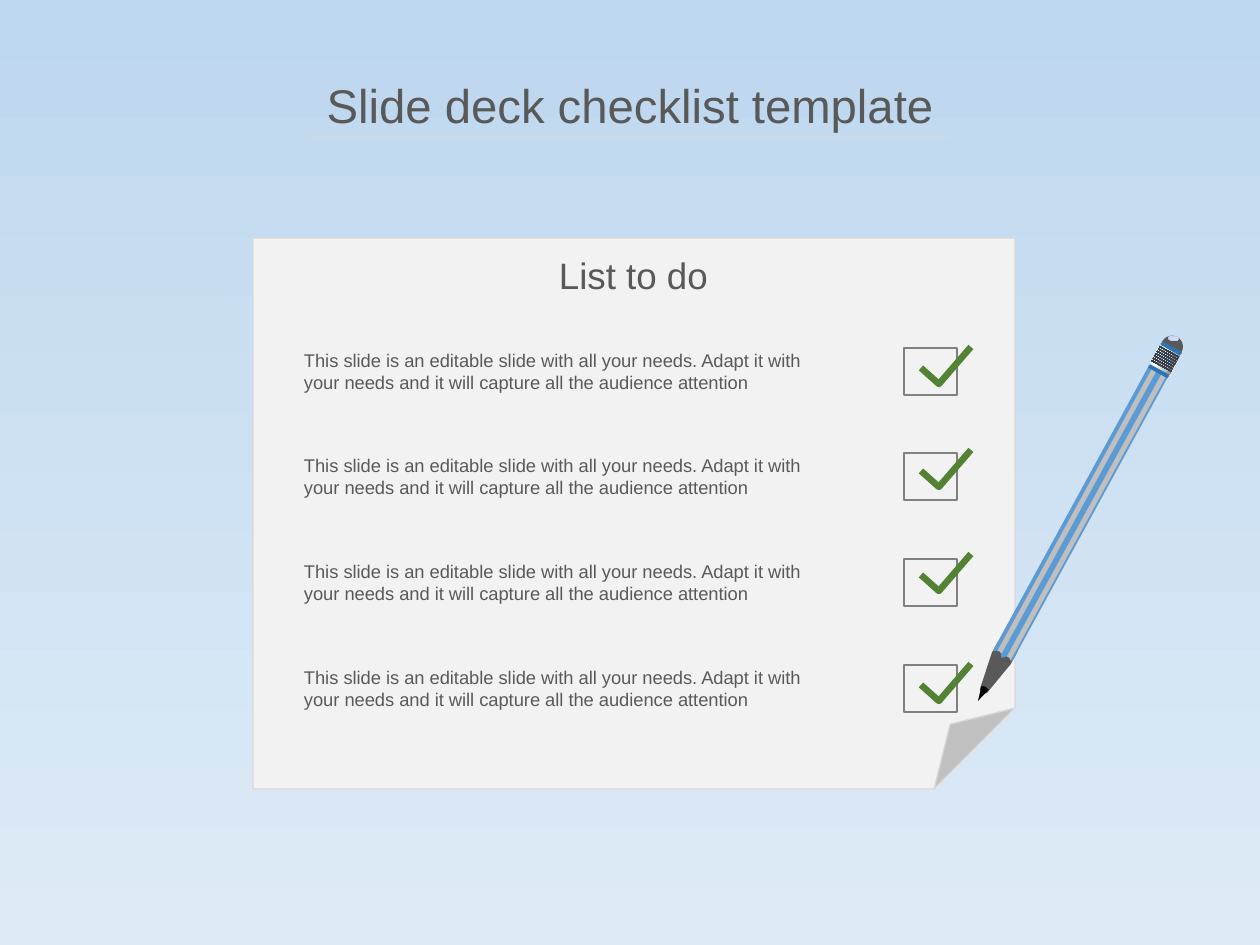
from math import cos, radians, sin

from lxml import etree
from pptx import Presentation
from pptx.dml.color import RGBColor
from pptx.enum.shapes import MSO_CONNECTOR, MSO_SHAPE
from pptx.enum.text import MSO_ANCHOR, MSO_AUTO_SIZE, PP_ALIGN
from pptx.oxml.ns import qn
from pptx.util import Pt

TITLE = "Slide deck checklist template"
LIST_HEADING = "List to do"
TASK = ("This slide is an editable slide with all your needs. Adapt it with "
        "your needs and it will capture all the audience attention")
TASKS = [  # text, top of its tick
    (TASK, 347),
    (TASK, 450),
    (TASK, 554),
    (TASK, 664),
]

GRAY_TEXT = RGBColor(0x59, 0x59, 0x59)
PAPER = RGBColor(0xF2, 0xF2, 0xF2)
PAPER_EDGE = RGBColor(0xD9, 0xD9, 0xD9)
BOX_EDGE = RGBColor(0x80, 0x80, 0x80)
TICK_GREEN = RGBColor(0x54, 0x82, 0x35)
PENCIL_BLUE = RGBColor(0x5B, 0x9B, 0xD5)
BAND_BLUE = RGBColor(0x2E, 0x75, 0xB6)
STRIPE_GRAY = RGBColor(0xBF, 0xBF, 0xBF)
BLACK = RGBColor(0, 0, 0)
WHITE = RGBColor(0xFF, 0xFF, 0xFF)

SKY = [(0, RGBColor(0xDE, 0xEB, 0xF7)), (100, RGBColor(0xBD, 0xD7, 0xEE))]
METAL = [(0, RGBColor(0x3B, 0x38, 0x38)), (39, STRIPE_GRAY), (63, WHITE),
         (69, WHITE), (100, BOX_EDGE)]
RING = [(0, RGBColor(0x18, 0x17, 0x17)), (50, RGBColor(0x33, 0x3F, 0x50)), (100, WHITE)]
SHINE = [(0, RGBColor(0xDA, 0xE3, 0xF3)), (100, RGBColor(0xB4, 0xC7, 0xE7))]

# Pencil outlines as (across, along) from its tip
PENCIL_TIP = (978, 701)
PENCIL_TILT = 28.7
PENCIL_WIDTH = 22
PENCIL_OUTLINES = [
    (GRAY_TEXT, [(-11, 49), (-11, 62), (11, 63), (11, 48), (4, 11), (0, 8), (-4, 11)]),
    (BLACK, [(0, 0), (-4, 15), (0, 16), (4, 15)]),
    (PENCIL_BLUE, [(-11, 51), (-6, 54), (-3, 53), (0, 49), (3, 52), (6, 54),
                   (11, 51), (11, 381), (-11, 381)]),
    (STRIPE_GRAY, [(4, 53), (7, 53), (9, 51), (9, 381), (4, 381)]),
    (STRIPE_GRAY, [(-7, 53), (-5, 54), (-2, 53), (-2, 381), (-7, 381)]),
]
BANDS = [(376, 4), (402, 4)]  # centre along the pencil, thickness
RING_COUNT, RING_FIRST, RING_LAST = 7, 382, 398

EMU_PER_PX = 914400 / 126


def px(value):
    return round(value * EMU_PER_PX)


def place(shape, left, top, width, height):
    shape.left, shape.top, shape.width, shape.height = map(px, (left, top, width, height))


def set_gradient(owner, fill, stops, angle=None):
    """Fill with the stops along a clockwise angle, or outwards from the centre."""
    fill.gradient()
    gradient = owner.element.find(".//" + qn("a:gradFill"))
    for child in list(gradient):
        gradient.remove(child)
    stop_list = etree.SubElement(gradient, qn("a:gsLst"))
    for percent, color in stops:
        stop = etree.SubElement(stop_list, qn("a:gs"), pos=str(percent * 1000))
        etree.SubElement(stop, qn("a:srgbClr"), val=str(color))
    if angle is None:
        centre = etree.SubElement(gradient, qn("a:path"), {"path": "shape"})
        etree.SubElement(centre, qn("a:fillToRect"),
                         {side: "50000" for side in ("l", "t", "r", "b")})
    else:
        etree.SubElement(gradient, qn("a:lin"), ang=str(angle * 60000), scaled="0")


def style(shape, fill=None, line=None, weight=1, angle=None):
    shape.shadow.inherit = False
    if isinstance(fill, list):
        set_gradient(shape, shape.fill, fill, angle)
    elif fill is not None:
        shape.fill.solid()
        shape.fill.fore_color.rgb = fill
    else:
        shape.fill.background()
    if line is None:
        shape.line.fill.background()
    else:
        shape.line.color.rgb = line
        shape.line.width = Pt(weight)
    return shape


def add_preset(shapes, preset, box, **look):
    return style(shapes.add_shape(preset, *map(px, box)), **look)


def add_outline(shapes, points, close=True, **look):
    corners = [(px(x), px(y)) for x, y in points]
    builder = shapes.build_freeform(*corners[0])
    builder.add_line_segments(corners[1:], close=close)
    return style(builder.convert_to_shape(), **look)


def write(holder, text, size=10.5, color=GRAY_TEXT, align=PP_ALIGN.LEFT):
    frame = holder.text_frame
    frame.word_wrap = True
    frame.auto_size = MSO_AUTO_SIZE.NONE
    frame.vertical_anchor = MSO_ANCHOR.TOP
    frame.margin_left = frame.margin_right = frame.margin_top = frame.margin_bottom = 0
    paragraph = frame.paragraphs[0]
    paragraph.alignment = align
    paragraph.line_spacing = 1
    run = paragraph.add_run()
    run.text = text
    run.font.name, run.font.size = "Arial", Pt(size)
    run.font.color.rgb = color


def on_pencil(across, along):
    tilt = radians(PENCIL_TILT)
    return (PENCIL_TIP[0] + across * cos(tilt) + along * sin(tilt),
            PENCIL_TIP[1] + across * sin(tilt) - along * cos(tilt))


def add_pencil(slide):
    shapes = slide.shapes.add_group_shape().shapes

    def add_collar(along, thickness, **look):
        x, y = on_pencil(0, along)
        box = (x - PENCIL_WIDTH / 2, y - thickness / 2, PENCIL_WIDTH, thickness)
        add_preset(shapes, MSO_SHAPE.RECTANGLE, box, **look).rotation = PENCIL_TILT

    for color, points in PENCIL_OUTLINES:
        add_outline(shapes, [on_pencil(*point) for point in points], fill=color)
    x, y = on_pencil(0, 404)
    add_preset(shapes, MSO_SHAPE.OVAL, (x - 11, y - 11, 22, 22), fill=GRAY_TEXT)
    add_collar(389, 28, fill=METAL, angle=180)
    for along, thickness in BANDS:
        add_collar(along, thickness, fill=BAND_BLUE)
    for ring in range(RING_COUNT):
        along = RING_FIRST + ring * (RING_LAST - RING_FIRST) / (RING_COUNT - 1)
        add_collar(along, 1, fill=RING, angle=90)
    shine = add_preset(shapes, MSO_SHAPE.OVAL, (1168, 336, 11, 5), fill=SHINE)
    shine.rotation = 6.2


def add_task(slide, row, text, tick_top):
    top = 348 + row * 317 // 3
    add_preset(slide.shapes, MSO_SHAPE.RECTANGLE, (904, top, 53, 47),
               line=BOX_EDGE, weight=1.5)
    write(slide.shapes.add_textbox(*map(px, (304, top + 1, 534, 44))), text)
    add_outline(slide.shapes, [(921, tick_top + 21), (939, tick_top + 37), (971, tick_top)],
                close=False, line=TICK_GREEN, weight=3.75)


def main():
    deck = Presentation()
    deck.slide_width, deck.slide_height = px(1260), px(945)
    slide = deck.slides.add_slide(deck.slide_layouts[5])
    set_gradient(slide, slide.background.fill, SKY, 270)

    place(slide.shapes.title, 0, 76, 1260, 57)
    write(slide.shapes.title, TITLE, size=27, align=PP_ALIGN.CENTER)
    rule = slide.shapes.add_connector(MSO_CONNECTOR.STRAIGHT,
                                      px(310), px(137), px(950), px(137))
    rule.line.color.rgb, rule.line.width = PAPER_EDGE, Pt(0.5)
    etree.SubElement(rule.element.spPr, qn("a:effectLst"))

    paper = add_preset(slide.shapes, MSO_SHAPE.FOLDED_CORNER, (253, 238, 762, 551),
                       fill=PAPER, line=PAPER_EDGE, weight=0.75)
    fold = paper.element.find(".//" + qn("a:avLst"))
    etree.SubElement(fold, qn("a:gd"), name="adj", fmla="val 14700")
    add_pencil(slide)
    heading = slide.shapes.add_textbox(*map(px, (456, 253, 355, 44)))
    write(heading, LIST_HEADING, size=21, align=PP_ALIGN.CENTER)
    for row, (text, tick_top) in enumerate(TASKS):
        add_task(slide, row, text, tick_top)
    deck.save("out.pptx")


if __name__ == "__main__":
    main()
